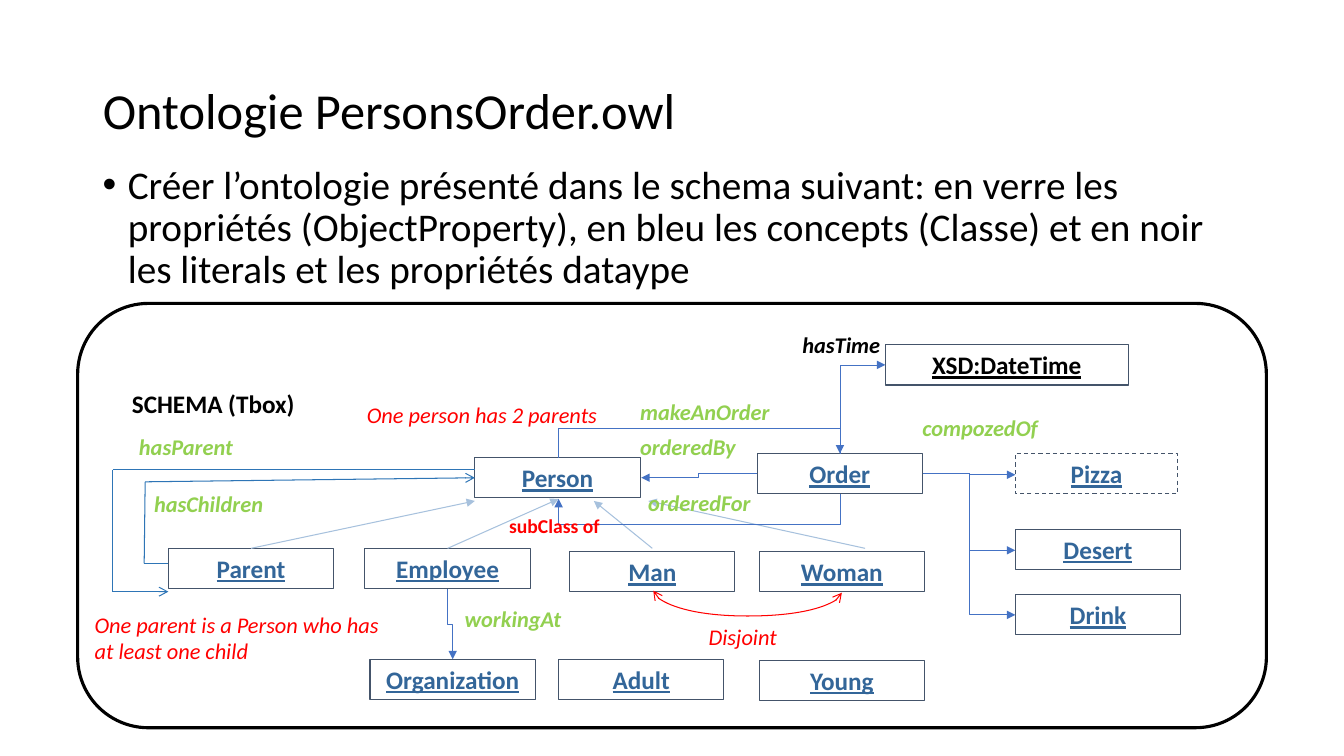
from lxml.etree import SubElement
from pptx import Presentation
from pptx.dml.color import RGBColor
from pptx.enum.dml import MSO_LINE
from pptx.enum.shapes import MSO_CONNECTOR as Link, MSO_SHAPE as Shape
from pptx.enum.text import MSO_ANCHOR, PP_ALIGN as Align
from pptx.oxml.ns import qn
from pptx.util import Emu, Inches, Pt

COLORS = {
    "black": "000000", "concept": "336699", "border": "44546A",
    "property": "92D050", "note": "FF0000", "subclass": "A7C1DD",
    "parent": "2E75B6", "relation": "4472C4",
}


def write(frame, text, size, color, bold=False, italic=False, underline=False, align=None):
    paragraph = frame.paragraphs[0]
    paragraph.alignment = align
    run = paragraph.add_run()
    run.text = text
    font = run.font
    font.name, font.size = "Calibri", Pt(size)
    font.bold, font.italic, font.underline = bold, italic, underline
    font.color.rgb = RGBColor.from_string(COLORS[color])
    return paragraph


def connect(start, end, color, width=0.75, head=None, tail=None,
            kind=Link.STRAIGHT, via=None, vertical=False):
    """Join two points; via is where the middle leg lies, vertical leaves start upright."""
    (x1, y1), (x2, y2) = start, end
    connector = slide.shapes.add_connector(
        kind, Inches(x1), Inches(y1), Inches(x2), Inches(y2))
    properties = connector._element.spPr
    if vertical:
        # A quarter turn: swap the sides around the same centre
        center_x = connector.left + connector.width // 2
        center_y = connector.top + connector.height // 2
        connector.width, connector.height = connector.height, connector.width
        connector.left = Emu(center_x - connector.width // 2)
        connector.top = Emu(center_y - connector.height // 2)
        transform = properties.find(qn("a:xfrm"))
        transform.set("rot", "5400000")
        transform.set("flipH", str(int(y2 < y1)))
        transform.set("flipV", str(int(x2 > x1)))
    if via is not None:
        first, last = (y1, y2) if vertical else (x1, x2)
        share = round((via - first) / (last - first) * 100000)
        guides = properties.find(qn("a:prstGeom")).get_or_add_avLst()
        SubElement(guides, qn("a:gd"), name="adj1", fmla=f"val {share}")
    connector.line.color.rgb = RGBColor.from_string(COLORS[color])
    connector.line.width = Pt(width)
    line = connector.line._get_or_add_ln()
    for tag, arrow in (("a:headEnd", head), ("a:tailEnd", tail)):
        if arrow:
            SubElement(line, qn(tag), type=arrow)
    SubElement(properties, qn("a:effectLst"))
    return connector


presentation = Presentation()
presentation.slide_width, presentation.slide_height = Inches(13.33), Inches(7.5)
slide = presentation.slides.add_slide(presentation.slide_layouts[5])

# Title
MARGIN, CONTENT_WIDTH = 0.92, 11.5
title = slide.shapes.title
title.left, title.top = Inches(MARGIN), Inches(0.4)
title.width, title.height = Inches(CONTENT_WIDTH), Inches(1.45)
title.text_frame.vertical_anchor = MSO_ANCHOR.MIDDLE
write(title.text_frame, "Ontologie PersonsOrder.owl", 36, "black",
      align=Align.LEFT).line_spacing = 0.9

# Bulleted instruction
body = slide.shapes.add_textbox(
    Inches(MARGIN), Inches(1.59), Inches(CONTENT_WIDTH), Inches(1.4))
body.text_frame.word_wrap = True
bullet = write(
    body.text_frame,
    "Créer l’ontologie présenté dans le schema suivant: en verre les propriétés "
    "(ObjectProperty), en bleu les concepts (Classe) et en noir les literals "
    "et les propriétés dataype", 28, "black", align=Align.LEFT)
bullet.line_spacing, bullet.space_before = 0.9, Pt(10)
bullet_format = bullet._p.get_or_add_pPr()
bullet_format.set("marL", str(Inches(0.25)))
bullet_format.set("indent", str(-Inches(0.25)))
SubElement(bullet_format, qn("a:buFont"), typeface="Arial")
SubElement(bullet_format, qn("a:buChar"), char="•")

# Schema frame
schema = slide.shapes.add_shape(
    Shape.FLOWCHART_ALTERNATE_PROCESS, Inches(0.77), Inches(3.01), Inches(11.79), Inches(4.21))
schema.shadow.inherit = False
schema.fill.background()
schema.line.color.rgb = RGBColor.from_string(COLORS["black"])
schema.line.width = Pt(2.25)

# Concept boxes: left, top, width
BOX_WIDTH, BOX_HEIGHT = 1.64, 0.4
PARTS_LEFT = 10.07
boxes = {
    "Person": (4.71, 4.54, BOX_WIDTH), "Order": (7.51, 4.5, BOX_WIDTH),
    "Parent": (1.67, 5.44, BOX_WIDTH), "Employee": (3.62, 5.44, BOX_WIDTH),
    "Man": (5.65, 5.47, BOX_WIDTH), "Woman": (7.53, 5.47, BOX_WIDTH),
    "Organization": (3.67, 6.54, BOX_WIDTH), "Adult": (5.54, 6.54, BOX_WIDTH),
    "Young": (7.53, 6.55, BOX_WIDTH), "Pizza": (PARTS_LEFT, 4.5, 1.61),
    "Desert": (PARTS_LEFT, 5.25, BOX_WIDTH), "Drink": (PARTS_LEFT, 5.9, BOX_WIDTH),
    "XSD:DateTime": (8.78, 3.42, 2.41),
}
for name, (left, top, width) in boxes.items():
    box = slide.shapes.add_shape(
        Shape.RECTANGLE, Inches(left), Inches(top), Inches(width), Inches(BOX_HEIGHT))
    box.shadow.inherit = False
    box.fill.background()
    box.line.color.rgb = RGBColor.from_string(COLORS["border"])
    box.line.width = Pt(0.75)
    if name == "Pizza":
        box.line.dash_style = MSO_LINE.DASH
    color = "black" if name == "XSD:DateTime" else "concept"
    write(box.text_frame, name, 18, color, bold=True, underline=True, align=Align.CENTER)

# Subclass arrows up to Person
for start, end in (((2.49, 5.44), (4.71, 4.97)), ((4.44, 5.44), (5.54, 4.95)),
                   ((6.47, 5.44), (5.89, 4.97)), ((8.58, 5.44), (6.43, 4.97))):
    connect(start, end, "subclass", tail="triangle")

# hasChildren and hasParent loops, one leg at a time
children_loop = [(1.67, 5.59), (1.43, 5.59), (1.44, 4.78), (4.71, 4.74)]
parent_loop = [(4.71, 4.66), (1.12, 4.66), (1.12, 5.87), (1.67, 5.87)]
for loop in (children_loop, parent_loop):
    for start, end in zip(loop, loop[1:]):
        connect(start, end, "parent", tail="arrow" if end == loop[-1] else None)

# Relations: start, end, place of the middle leg, vertical start, arrow at start
PERSON_X, ORDER_X = 5.54, 8.33
relations = [
    ((9.15, 4.7), (PARTS_LEFT, 4.71), 9.61, False, False),
    ((9.15, 4.7), (PARTS_LEFT, 5.46), 9.61, False, False),
    ((9.15, 4.7), (PARTS_LEFT, 6.1), 9.61, False, False),
    ((6.36, 4.74), (7.51, 4.7), 6.93, False, True),
    ((PERSON_X, 4.54), (ORDER_X, 4.5), 4.25, True, False),
    ((PERSON_X, 4.95), (ORDER_X, 4.9), 5.2, True, True),
    ((4.49, 6.54), (4.44, 5.84), 6.19, True, True),
]
for start, end, via, vertical, reverse in relations:
    connect(start, end, "relation", 0.5, kind=Link.ELBOW, via=via, vertical=vertical,
            head="triangle" if reverse else None, tail=None if reverse else "triangle")

# hasTime turns only once
has_time = connect((ORDER_X, 4.5), (8.78, 3.62), "relation", 0.5, tail="triangle",
                   kind=Link.ELBOW, vertical=True)
has_time._element.spPr.find(qn("a:prstGeom")).set("prst", "bentConnector2")

# Disjoint curve between Man and Woman
connect((6.48, 5.86), (8.35, 5.88), "note", head="arrow", tail="arrow",
        kind=Link.CURVE, via=6.11, vertical=True)

# Labels: text, left, top, width, size, colour, bold, italic
labels = [
    ("SCHEMA (Tbox)", 1.21, 3.8, 1.83, 18, "black", True, False),
    ("hasTime", 7.86, 3.24, 0.98, 16, "black", True, True),
    ("hasParent", 1.28, 4.25, 1.15, 16, "property", True, True),
    ("hasChildren", 1.43, 4.81, 1.3, 16, "property", True, True),
    ("makeAnOrder", 6.25, 3.9, 1.51, 16, "property", True, True),
    ("orderedBy", 6.25, 4.25, 1.17, 16, "property", True, True),
    ("orderedFor", 6.33, 4.8, 1.24, 16, "property", True, True),
    ("compozedOf", 9.05, 4.06, 1.37, 16, "property", True, True),
    ("workingAt", 4.51, 5.95, 1.17, 16, "property", True, True),
    ("subClass of", 4.95, 5.05, 1.11, 14, "note", True, False),
    ("One person has 2 parents", 3.54, 3.93, 3.05, 16, "note", False, True),
    ("One parent is a Person who has at least one child",
     0.84, 6.01, 3.05, 16, "note", False, True),
    ("Disjoint", 6.93, 6.13, 3.05, 16, "note", False, True),
]
for text, left, top, width, size, color, bold, italic in labels:
    label = slide.shapes.add_textbox(Inches(left), Inches(top), Inches(width), Inches(0.37))
    label.text_frame.word_wrap = width == 3.05
    write(label.text_frame, text, size, color, bold, italic)

presentation.save("out.pptx")
